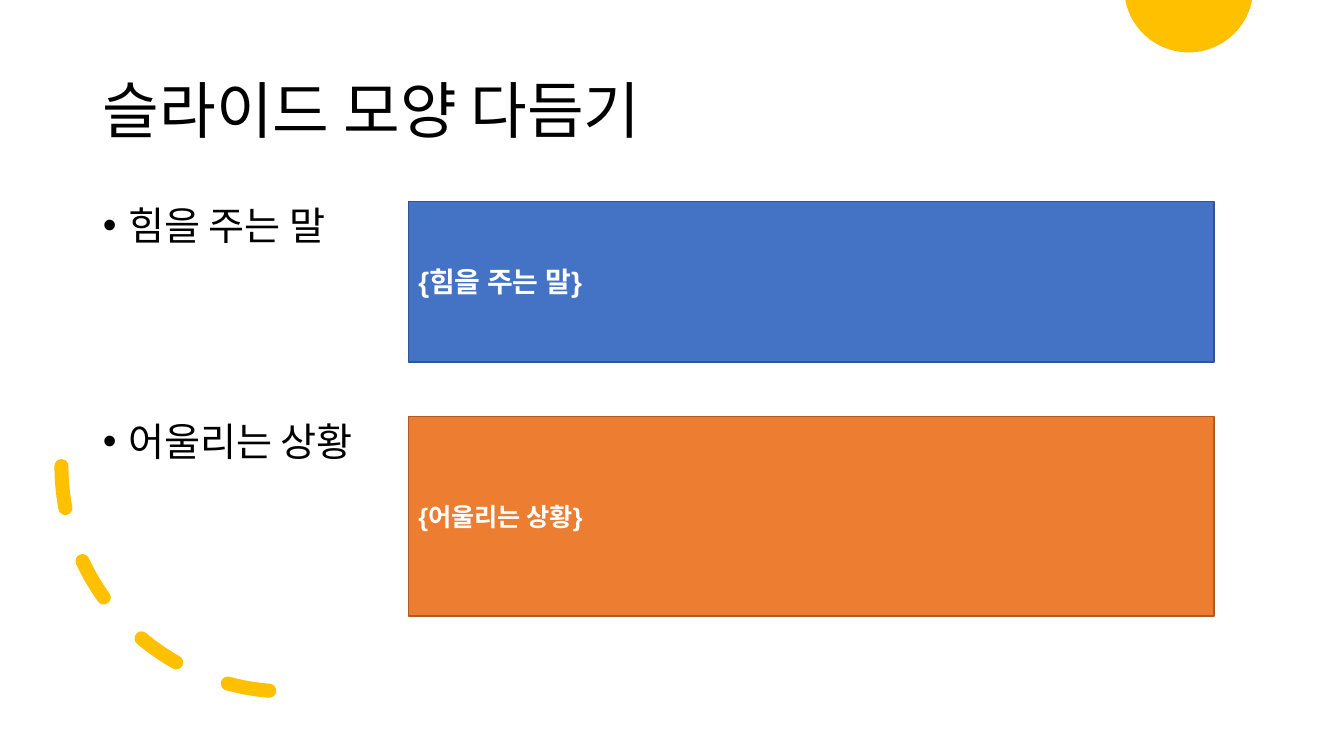
from dataclasses import dataclass
from math import asin, cos, pi, sin

from lxml.etree import SubElement
from pptx import Presentation
from pptx.dml.color import RGBColor
from pptx.enum.dml import MSO_LINE_DASH_STYLE as Dash
from pptx.enum.shapes import MSO_SHAPE as Preset
from pptx.enum.text import MSO_ANCHOR as Anchor, MSO_AUTO_SIZE as AutoSize, PP_ALIGN as Align
from pptx.oxml.ns import qn
from pptx.util import Inches, Pt

KOREAN_FONT = "Noto Sans CJK KR"
BLACK, WHITE, GOLD = "000000", "FFFFFF", "FFC000"


@dataclass
class Panel:
    text: str
    top: float
    height: float
    fill: str
    border: str
    size: int


PANELS = [
    Panel("{힘을 주는 말}", 2, 1.59, "4472C4", "325491", 20),
    Panel("{어울리는 상황}", 4.13, 1.98, "ED7D31", "AF5C24", 18),
]
TOPICS = [("힘을 주는 말", 10), ("어울리는 상황", 124)]  # text, space before


def set_color(color_format, hex_color: str) -> None:
    color_format.rgb = RGBColor.from_string(hex_color)


def apply(target, formats: dict) -> None:
    for attribute, value in formats.items():
        setattr(target, attribute, value)


def place(shape, left: float, top: float, width: float, height: float) -> None:
    apply(shape, {"left": Inches(left), "top": Inches(top),
                  "width": Inches(width), "height": Inches(height)})


def write(paragraph, text: str, size: int, color: str, font: str, **formats) -> None:
    run = paragraph.add_run()
    run.text = text
    apply(run.font, {"size": Pt(size), "name": font, **formats})
    set_color(run.font.color, color)
    SubElement(run.font._element, qn("a:ea"), typeface=KOREAN_FONT)


def paint(shape, fill: str) -> None:
    shape.shadow.inherit = False
    shape.fill.solid()
    set_color(shape.fill.fore_color, fill)


def draw_sun(shapes) -> None:
    center_x, center_y, radius, steps = 11.79, -0.12, 0.64, 60
    start = asin(-center_y / radius)
    angles = [start + (pi - 2 * start) * step / steps for step in range(steps + 1)]
    points = [(Inches(center_x + radius * cos(angle)), Inches(center_y + radius * sin(angle)))
              for angle in angles]
    outline = shapes.build_freeform(*points[0])
    outline.add_line_segments(points[1:], close=True)
    sun = outline.convert_to_shape()
    paint(sun, GOLD)
    sun.line.fill.background()


def draw_dashed_arc(shapes) -> None:
    arc = shapes.add_shape(Preset.ARC, Inches(0.61), Inches(2.39), Inches(4.47), Inches(4.47))
    arc.rotation = 90
    arc.shadow.inherit = False
    arc.fill.background()
    set_color(arc.line.color, GOLD)
    apply(arc.line, {"width": Pt(10), "dash_style": Dash.DASH})
    properties = arc._element.spPr
    properties.find(qn("a:xfrm")).set("flipV", "1")
    properties.find(qn("a:ln")).set("cap", "rnd")


def draw_panel(shapes, panel: Panel) -> None:
    box = shapes.add_shape(Preset.RECTANGLE, Inches(4.05), Inches(panel.top),
                           Inches(7.99), Inches(panel.height))
    paint(box, panel.fill)
    set_color(box.line.color, panel.border)
    box.line.width = Pt(1)
    apply(box.text_frame, {"word_wrap": True, "vertical_anchor": Anchor.MIDDLE})
    label = box.text_frame.paragraphs[0]
    label.alignment = Align.LEFT
    write(label, panel.text, panel.size, WHITE, "Arial", bold=True)


def main() -> None:
    deck = Presentation()
    apply(deck, {"slide_width": Inches(13.33), "slide_height": Inches(7.5)})
    slide = deck.slides.add_slide(deck.slide_layouts[1])
    shapes = slide.shapes

    # Title
    title = shapes.title
    place(title, 0.92, 0.4, 11.5, 1.45)
    apply(title.text_frame, {"auto_size": AutoSize.NONE, "vertical_anchor": Anchor.MIDDLE})
    heading = title.text_frame.paragraphs[0]
    apply(heading, {"alignment": Align.LEFT, "line_spacing": 0.9})
    write(heading, "슬라이드 모양 다듬기", 44, BLACK, KOREAN_FONT)

    # Topic list
    topics = slide.placeholders[1]
    place(topics, 0.92, 2, 11.5, 4.76)
    topics.text_frame.auto_size = AutoSize.NONE
    for index, (text, gap) in enumerate(TOPICS):
        topic = topics.text_frame.add_paragraph() if index else topics.text_frame.paragraphs[0]
        apply(topic, {"line_spacing": 0.9, "space_before": Pt(gap)})
        apply_indent = topic._p.get_or_add_pPr()
        for name, inches in {"marL": 0.25, "indent": -0.25}.items():
            apply_indent.set(name, str(Inches(inches)))
        SubElement(apply_indent, qn("a:buFont"), typeface="Arial")
        SubElement(apply_indent, qn("a:buChar"), char="•")
        write(topic, text, 28, BLACK, KOREAN_FONT)

    # Decoration and panels
    draw_sun(shapes)
    draw_dashed_arc(shapes)
    for panel in PANELS:
        draw_panel(shapes, panel)

    deck.save("out.pptx")


if __name__ == "__main__":
    main()
